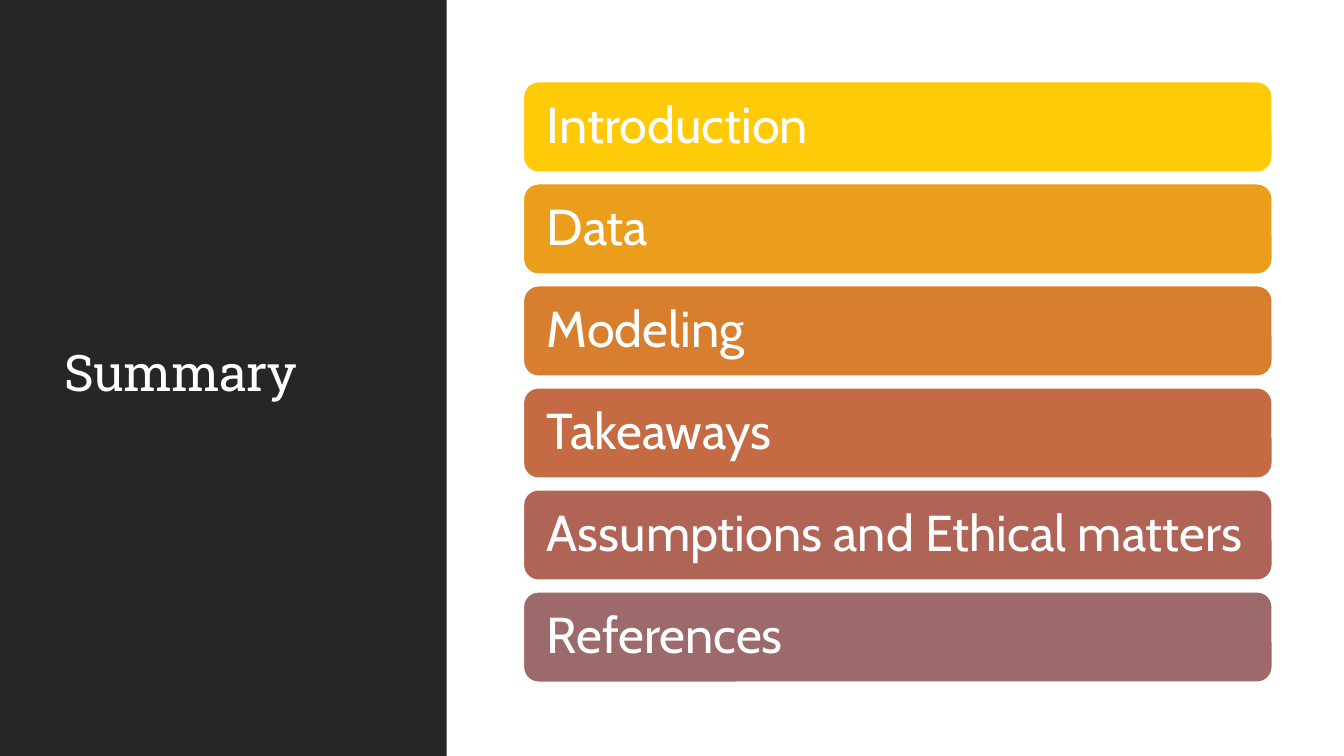
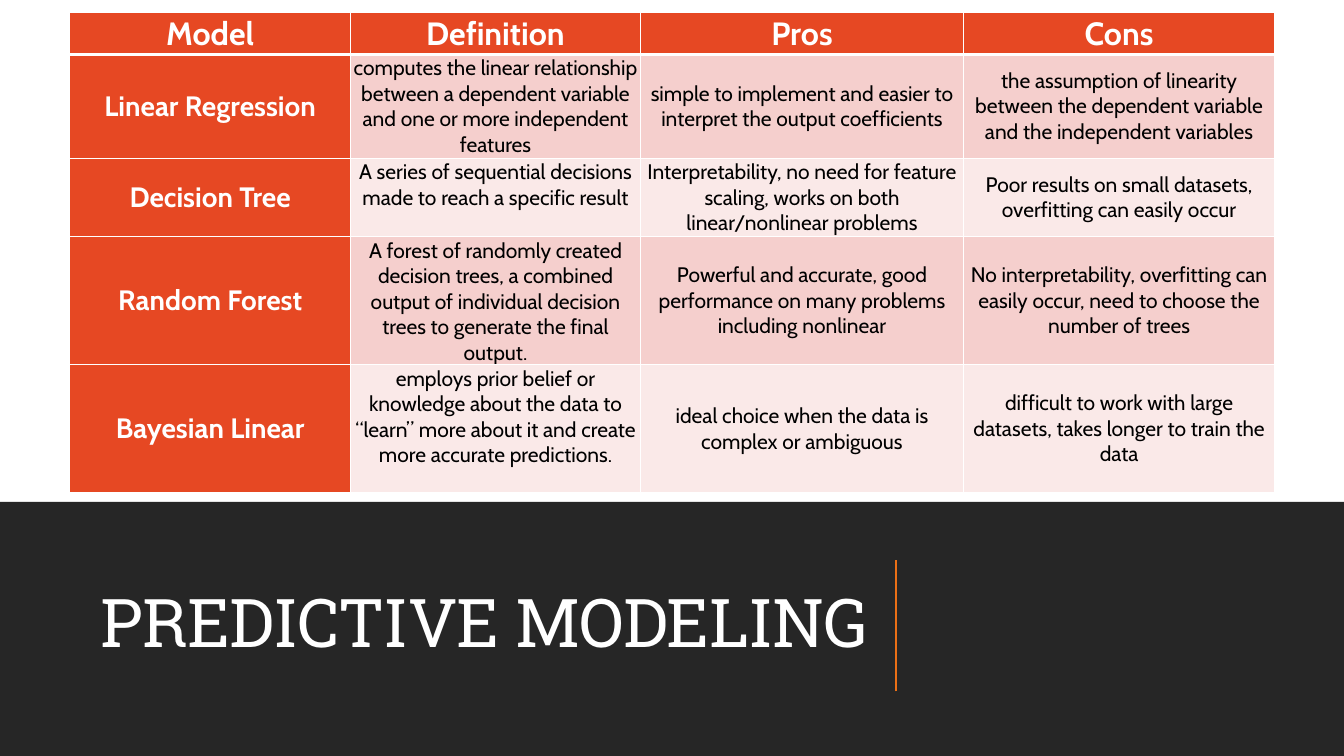
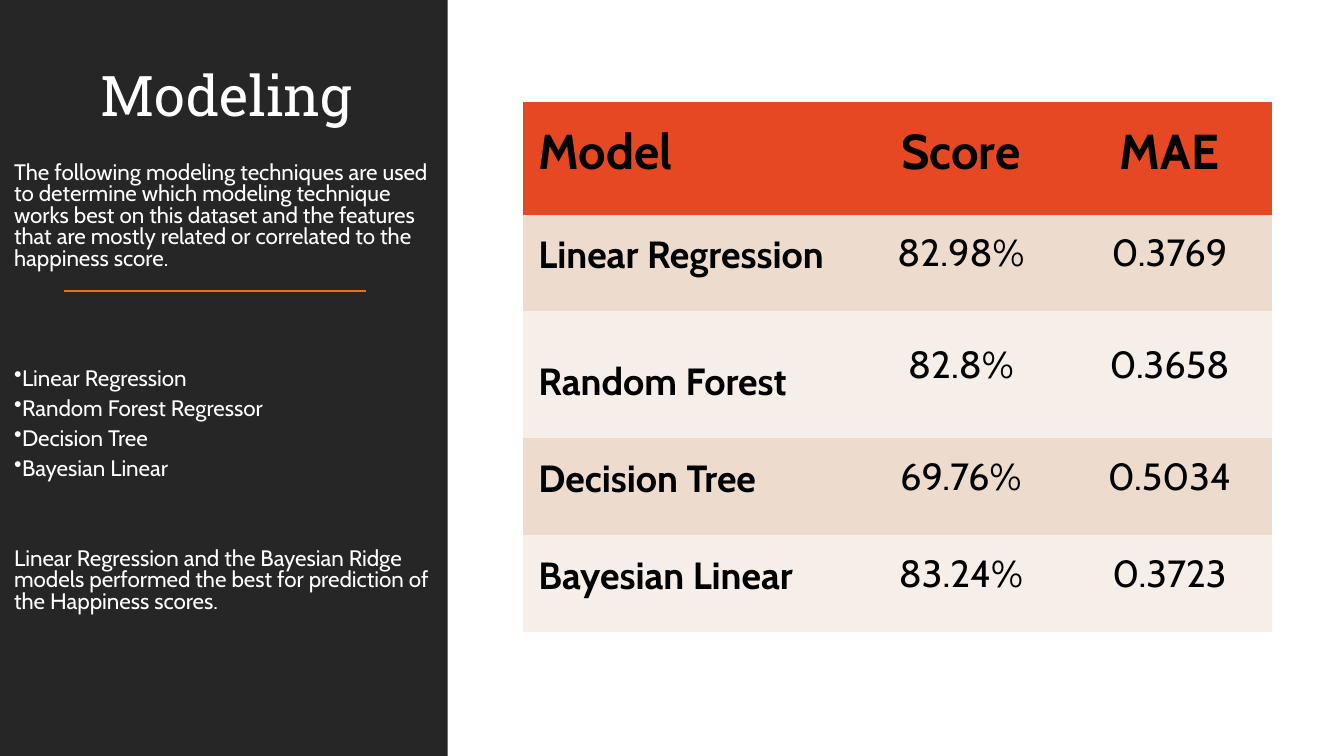
from dataclasses import dataclass

from lxml import etree
from pptx import Presentation
from pptx import util as u
from pptx.dml.color import RGBColor
from pptx.enum import shapes, text
from pptx.oxml import ns

Inches, Pt = u.Inches, u.Pt
Align, Anchor = text.PP_ALIGN, text.MSO_ANCHOR

COLORS = {
    "white": "FFFFFF", "black": "000000", "dark": "262626",
    "rule": "EC7016", "header": "E64823",
    "pink": "F5CFCD", "pale pink": "FAE9E8",
    "sand": "EDDBCE", "pale sand": "F6EEE8",
    "yellow": "FFCA08", "amber": "EB9E1C", "orange": "D77E2F",
    "rust": "C46B43", "brick": "B06456", "mauve": "9C6A6A",
}
TITLE_FONT, BODY_FONT = "Roboto Slab", "Cabin"
NO_STYLE = "{2D5ABB26-0587-4C30-8999-92F81FD0307C}"
WIDTH, HEIGHT = 13.33, 7.5


@dataclass
class Box:
    left: float
    top: float
    width: float
    height: float

    def lengths(self) -> tuple:
        return tuple(Inches(n) for n in (self.left, self.top, self.width, self.height))


@dataclass
class CellStyle:
    fill: str
    size: float
    color: str = "black"
    bold: bool = False
    align: Align = Align.CENTER
    anchor: Anchor = Anchor.MIDDLE
    spacing: float = 1.0
    insets: tuple = (0, 0, 0, 0)
    border: float = 0
    border_below: float = 0


def rgb(name: str) -> RGBColor:
    return RGBColor.from_string(COLORS[name])


def set_insets(holder, insets: tuple) -> None:
    sides = ("margin_left", "margin_top", "margin_right", "margin_bottom")
    for side, inset in zip(sides, insets):
        setattr(holder, side, Inches(inset))


def write(frame, words: str, *, size: float, color: str = "white", font: str = BODY_FONT,
          bold: bool = False, align: Align = Align.LEFT, spacing: float = 1.0,
          after: float = 0, tracking: float = 0, bullet: bool = False) -> None:
    """Fill the empty first paragraph of a frame, or add one after the others."""
    paragraph = frame.paragraphs[0]
    if paragraph.runs:
        paragraph = frame.add_paragraph()
    if bullet:
        properties = paragraph._p.get_or_add_pPr()
        etree.SubElement(properties, ns.qn("a:buChar")).set("char", "•")
    paragraph.alignment = align
    paragraph.line_spacing = spacing
    paragraph.space_after = Pt(after)
    run = paragraph.add_run()
    run.text = words
    run.font.name, run.font.size, run.font.bold = font, Pt(size), bold
    run.font.color.rgb = rgb(color)
    if tracking:
        run._r.get_or_add_rPr().set("spc", str(round(tracking * 100)))


def add_block(slide, box: Box, fill: str, kind=shapes.MSO_SHAPE.RECTANGLE, line: float = 0):
    shape = slide.shapes.add_shape(kind, *box.lengths())
    shape.shadow.inherit = False
    shape.fill.solid()
    shape.fill.fore_color.rgb = rgb(fill)
    if line:
        shape.line.color.rgb = rgb("white")
        shape.line.width = Pt(line)
    else:
        shape.line.fill.background()
    return shape


def add_text_box(slide, box: Box, anchor: Anchor = Anchor.MIDDLE,
                 insets: tuple = (0.1, 0.05, 0.1, 0.05)):
    frame = slide.shapes.add_textbox(*box.lengths()).text_frame
    frame.word_wrap = True
    frame.vertical_anchor = anchor
    set_insets(frame, insets)
    return frame


def add_title(slide, box: Box, words: str, size: float, align: Align = Align.LEFT) -> None:
    write(add_text_box(slide, box), words, size=size, font=TITLE_FONT, align=align,
          spacing=0.9, after=6, tracking=-0.5)


def add_rule(slide, start: tuple, end: tuple) -> None:
    points = [Inches(n) for n in (*start, *end)]
    line = slide.shapes.add_connector(shapes.MSO_CONNECTOR.STRAIGHT, *points)
    line.line.color.rgb = rgb("rule")
    line.line.width = Pt(1.5)
    etree.SubElement(line._element.spPr, ns.qn("a:effectLst"))


def add_border(cell, side: str, width: float) -> None:
    properties = cell._tc.get_or_add_tcPr()
    line = etree.Element(ns.qn(f"a:{side}"), w=str(Pt(width)))
    fill = etree.SubElement(line, ns.qn("a:solidFill"))
    etree.SubElement(fill, ns.qn("a:srgbClr")).set("val", COLORS["white"])
    properties.insert(len(properties) - 1, line)  # borders come before the fill


def add_table(slide, left: float, top: float, columns: list, heights: list,
              rows: list, style_of) -> None:
    """Draw a table; style_of(row, column) gives the look of each cell."""
    box = Box(left, top, sum(columns), sum(heights))
    table = slide.shapes.add_table(len(rows), len(columns), *box.lengths()).table
    table.first_row = table.horz_banding = False
    table._tbl.tblPr.find(ns.qn("a:tableStyleId")).text = NO_STYLE
    for column, width in zip(table.columns, columns):
        column.width = Inches(width)
    for r, (row, height) in enumerate(zip(rows, heights)):
        table.rows[r].height = Inches(height)
        for c, words in enumerate(row):
            cell, style = table.cell(r, c), style_of(r, c)
            cell.vertical_anchor = style.anchor
            set_insets(cell, style.insets)
            cell.fill.solid()
            cell.fill.fore_color.rgb = rgb(style.fill)
            if style.border:
                add_border(cell, "lnR", style.border)
                add_border(cell, "lnB", style.border_below or style.border)
            write(cell.text_frame, words, size=style.size, color=style.color,
                  bold=style.bold, align=style.align, spacing=style.spacing)


def new_slide(presentation, panel: Box):
    """Start a white slide with a dark title panel."""
    slide = presentation.slides.add_slide(presentation.slide_layouts[6])
    add_block(slide, panel, "dark")
    return slide


# Slide 1: agenda
AGENDA = [
    ("Introduction", "yellow"), ("Data", "amber"), ("Modeling", "orange"),
    ("Takeaways", "rust"), ("Assumptions and Ethical matters", "brick"),
    ("References", "mauve"),
]


def build_summary(presentation) -> None:
    slide = new_slide(presentation, Box(0, 0, 4.43, HEIGHT))
    add_title(slide, Box(0.54, 0.57, 3.37, 6.31), "Summary", 36)
    first, last = 0.81, 5.87
    step = (last - first) / (len(AGENDA) - 1)
    for i, (topic, color) in enumerate(AGENDA):
        shape = add_block(slide, Box(5.19, first + i * step, 7.43, 0.9), color,
                          shapes.MSO_SHAPE.ROUNDED_RECTANGLE, line=1.25)
        frame = shape.text_frame
        frame.word_wrap = True
        frame.vertical_anchor = Anchor.MIDDLE
        set_insets(frame, (0.19, 0.19, 0.19, 0.19))
        write(frame, topic, size=36, spacing=0.9)


# Slide 2: comparison of the models
COMPARISON = [
    ("Model", "Definition", "Pros", "Cons"),
    ("Linear Regression",
     "computes the linear relationship between a dependent variable and one or more "
     "independent features",
     "simple to implement and easier to interpret the output coefficients",
     "the assumption of linearity between the dependent variable and the independent variables"),
    ("Decision Tree",
     "A series of sequential decisions made to reach a specific result",
     "Interpretability, no need for feature scaling, works on both linear/nonlinear problems",
     "Poor results on small datasets, overfitting can easily occur"),
    ("Random Forest",
     "A forest of randomly created decision trees, a combined output of individual decision "
     "trees to generate the final output.",
     "Powerful and accurate, good performance on many problems including nonlinear",
     "No interpretability, overfitting can easily occur, need to choose the number of trees"),
    ("Bayesian Linear",
     "employs prior belief or knowledge about the data to “learn” more about it and create "
     "more accurate predictions.",
     "ideal choice when the data is complex or ambiguous",
     "difficult to work with large datasets, takes longer to train the data"),
]


def comparison_style(row: int, column: int) -> CellStyle:
    if row == 0:
        return CellStyle("header", 23, "white", True, border=1, border_below=3)
    if column == 0:
        return CellStyle("header", 20, "white", True, border=1)
    style = CellStyle("pink" if row % 2 else "pale pink", 15, border=1)
    if column == 1:
        style.anchor, style.insets = Anchor.TOP, (0.01, 0.01, 0.01, 0)
    return style


def build_comparison(presentation) -> None:
    slide = new_slide(presentation, Box(0, 4.98, WIDTH, 2.52))
    add_title(slide, Box(0.69, 5.36, 8.02, 1.69), "PREDICTIVE MODELING", 48, Align.RIGHT)
    add_rule(slide, (8.89, 6.86), (8.89, 5.56))
    add_table(slide, 0.69, 0.13, [2.79, 2.87, 3.21, 3.08], [0.41, 1.03, 0.78, 1.27, 1.27],
              COMPARISON, comparison_style)


# Slide 3: scores of the models
SCORES = [
    ("Model", "Score", "MAE"),
    ("Linear Regression", "82.98%", "0.3769"),
    ("Random Forest", "82.8%", "0.3658"),
    ("Decision Tree", "69.76%", "0.5034"),
    ("Bayesian Linear", "83.24%", "0.3723"),
]
TECHNIQUES = ["Linear Regression", "Random Forest Regressor", "Decision Tree", "Bayesian Linear"]


def score_style(row: int, column: int) -> CellStyle:
    is_label = row == 0 or column == 0
    fill = "header" if row == 0 else "sand" if row % 2 else "pale sand"
    return CellStyle(fill, 27 if row else 35, bold=is_label,
                     align=Align.CENTER if column else Align.LEFT,
                     anchor=Anchor.BOTTOM if is_label else Anchor.MIDDLE,
                     spacing=1.2, insets=(0.15, 0.04, 0.17, 0.33))


def build_scores(presentation) -> None:
    slide = new_slide(presentation, Box(0, 0, 4.44, HEIGHT))
    add_rule(slide, (0.63, 2.89), (3.63, 2.89))
    frame = add_text_box(slide, Box(0.14, 0.68, 4.21, 5.87), Anchor.TOP, (0, 0.05, 0, 0.05))
    write(frame, "Modeling", size=40, font=TITLE_FONT, align=Align.CENTER, spacing=0.8, after=25.5)
    write(frame, "The following modeling techniques are used to determine which modeling "
          "technique works best on this dataset and the features that are mostly related or "
          "correlated to the happiness score.", size=16, spacing=0.8, after=70.5)
    for technique in TECHNIQUES:
        is_last = technique == TECHNIQUES[-1]
        write(frame, technique, size=16, spacing=0.8, after=49 if is_last else 6, bullet=True)
    write(frame, "Linear Regression and the Bayesian Ridge models performed the best for "
          "prediction of the Happiness scores.", size=16, spacing=0.8)
    add_table(slide, 5.19, 1.01, [3.29, 2.12, 2.02], [1.12, 0.96, 1.26, 0.96, 0.96],
              SCORES, score_style)


def main() -> None:
    presentation = Presentation()
    presentation.slide_width, presentation.slide_height = Inches(WIDTH), Inches(HEIGHT)
    build_summary(presentation)
    build_comparison(presentation)
    build_scores(presentation)
    presentation.save("out.pptx")


if __name__ == "__main__":
    main()
